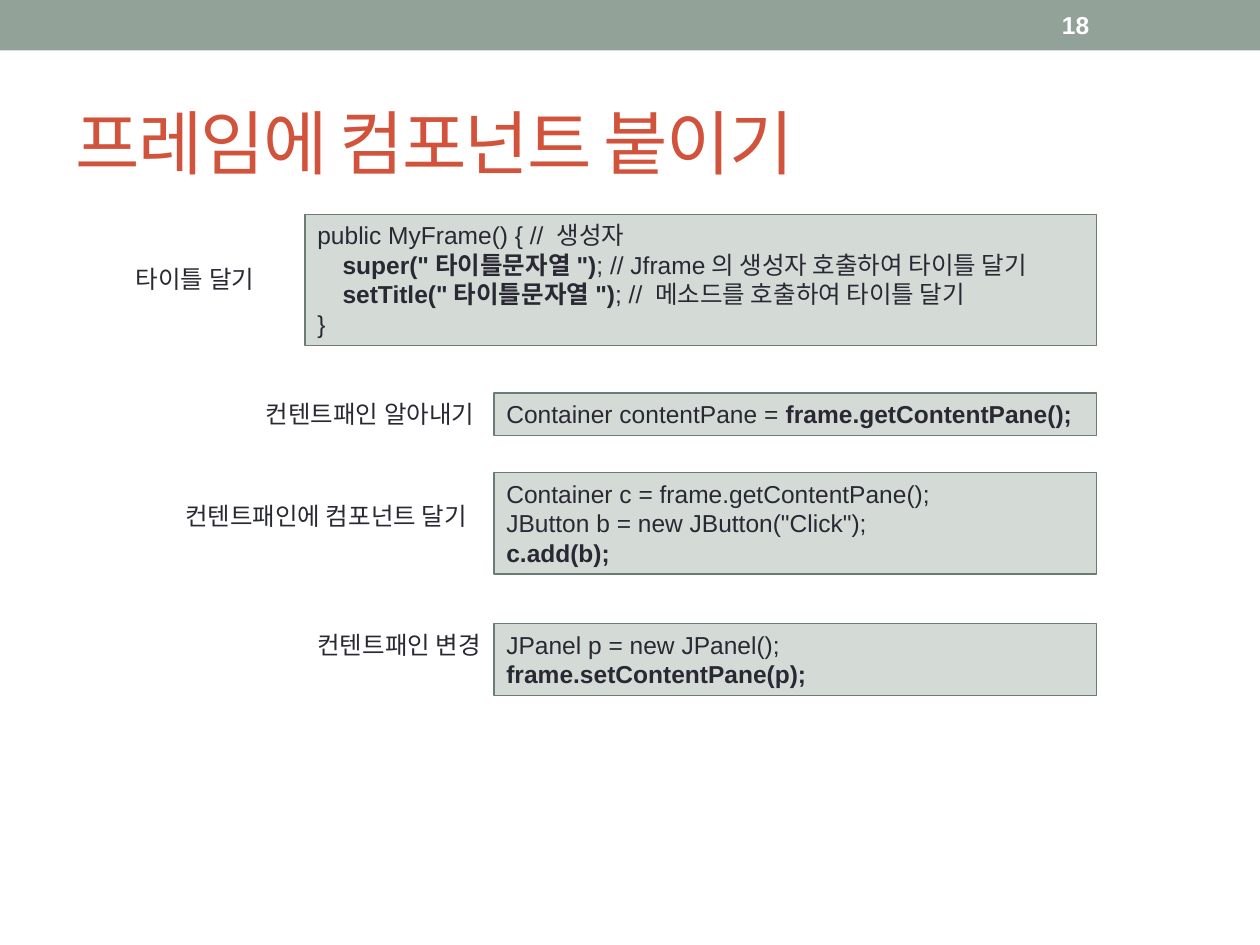
from lxml.etree import SubElement
from pptx import Presentation
from pptx.dml.color import RGBColor
from pptx.enum.shapes import MSO_SHAPE as Shape
from pptx.enum.text import MSO_ANCHOR as Anchor, MSO_AUTO_SIZE as AutoSize, PP_ALIGN as Align
from pptx.oxml.ns import qn
from pptx.util import Inches, Pt

TITLE = "프레임에 컴포넌트 붙이기"
PAGE_NUMBER = "18"
INK, ACCENT, WHITE = "292934", "D2533C", "FFFFFF"
BAND, PANEL, PANEL_LINE = "93A299", "D4DAD6", "6B7D72"
WIDTH, HEIGHT, BAND_HEIGHT = 10, 7.5, 0.4
RIGHT_EDGE, LINE_HEIGHT, PADDING, TAB = 8.7, 0.235, 0.1, 0.2

# label, label left, label top, code left, code top, code lines of (text, bold) runs
ROWS = [
    ("타이틀 달기", 0.98, 2.05, 2.42, 1.7, [
        [("public MyFrame() { // 생성자", False)],
        [("\t", False), ('super("타이틀문자열")', True),
         ("; // Jframe의 생성자 호출하여 타이틀 달기", False)],
        [("\t", False), ('setTitle("타이틀문자열")', True),
         ("; // 메소드를 호출하여 타이틀 달기", False)],
        [("}", False)],
    ]),
    ("컨텐트패인 알아내기", 2.01, 3.12, 3.92, 3.12, [
        [("Container contentPane = ", False), ("frame.getContentPane();", True)],
    ]),
    ("컨텐트패인에 컴포넌트 달기", 1.37, 3.93, 3.92, 3.75, [
        [("Container c = frame.getContentPane();", False)],
        [('JButton b = new JButton("Click");', False)],
        [("c.add(b);", True)],
    ]),
    ("컨텐트패인 변경", 2.42, 4.95, 3.92, 4.95, [
        [("JPanel p = new JPanel();", False)],
        [("frame.setContentPane(p);", True)],
    ]),
]


def color(value):
    return RGBColor.from_string(value)


def box(*lengths):
    return [Inches(length) for length in lengths]


def style(font, size, ink, bold=False):
    font.name, font.size, font.bold = "Arial", Pt(size), bold
    font.color.rgb = color(ink)


def add_panel(slide, area, fill, line=None):
    shape = slide.shapes.add_shape(Shape.RECTANGLE, *box(*area))
    shape.shadow.inherit = False
    shape.fill.solid()
    shape.fill.fore_color.rgb = color(fill)
    if line:
        shape.line.color.rgb = color(line)
        shape.line.width = Pt(0.75)
    else:
        shape.line.fill.background()
    return shape


def add_label(slide, text, area, ink=INK, bold=False, anchor=Anchor.TOP):
    frame = slide.shapes.add_textbox(*box(*area)).text_frame
    frame.word_wrap = True
    frame.vertical_anchor = anchor
    frame.text = text
    style(frame.paragraphs[0].runs[0].font, 14, ink, bold)


def add_code(slide, left, top, lines):
    height = len(lines) * LINE_HEIGHT + PADDING
    area = (left, top, RIGHT_EDGE - left, height)
    frame = add_panel(slide, area, PANEL, PANEL_LINE).text_frame
    frame.word_wrap = True
    frame.auto_size = AutoSize.SHAPE_TO_FIT_TEXT
    frame.vertical_anchor = Anchor.TOP
    for index, line in enumerate(lines):
        paragraph = frame.add_paragraph() if index else frame.paragraphs[0]
        paragraph.alignment = Align.LEFT
        if line[0][0] == "\t":
            tabs = SubElement(paragraph._p.get_or_add_pPr(), qn("a:tabLst"))
            SubElement(tabs, qn("a:tab"), pos=str(Inches(TAB)), algn="l")
        for text, bold in line:
            run = paragraph.add_run()
            run.text = text
            style(run.font, 14, INK, bold)


def add_title(slide):
    title = slide.shapes.title
    title.left, title.top, title.width, title.height = box(0.5, 0.58, 9, 1.08)
    title.text_frame.text = TITLE
    title.text_frame.vertical_anchor = Anchor.MIDDLE
    paragraph = title.text_frame.paragraphs[0]
    paragraph.alignment = Align.LEFT
    font = paragraph.runs[0].font
    style(font, 40, ACCENT)
    font._element.set("spc", "-100")


def main():
    """Build the slide on attaching components to a frame."""
    presentation = Presentation()
    presentation.slide_width, presentation.slide_height = box(WIDTH, HEIGHT)
    slide = presentation.slides.add_slide(presentation.slide_layouts[5])
    add_panel(slide, (0, 0, WIDTH, BAND_HEIGHT), BAND)
    add_title(slide)
    add_label(slide, PAGE_NUMBER, (8.33, 0.02, 1.17, 0.36), WHITE, True, Anchor.MIDDLE)
    for label, label_left, label_top, code_left, code_top, lines in ROWS:
        add_code(slide, code_left, code_top, lines)
        label_width = code_left + PADDING - label_left
        add_label(slide, label, (label_left, label_top, label_width, 0.34))
    presentation.save("out.pptx")


if __name__ == "__main__":
    main()
